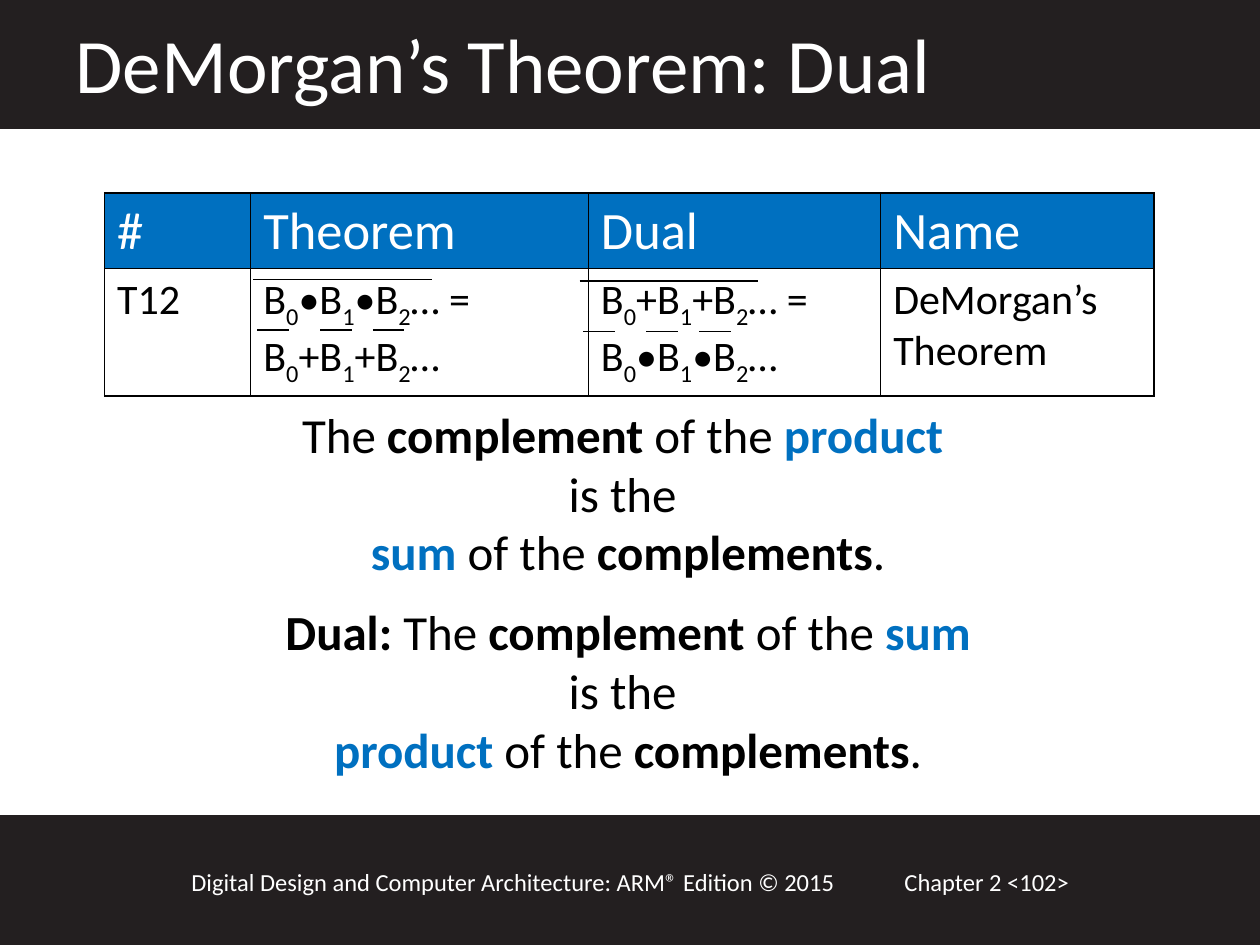
from itertools import groupby

from lxml.etree import SubElement
from pptx import Presentation
from pptx.dml.color import RGBColor
from pptx.enum.shapes import MSO_CONNECTOR as Connector, MSO_SHAPE as Shape
from pptx.enum.text import MSO_ANCHOR as Anchor, PP_ALIGN as Align
from pptx.oxml.ns import qn
from pptx.util import Inches, Pt

COLORS = {"band": "231F20", "accent": "0070C0", "white": "FFFFFF", "black": "000000"}
FONT = "Calibri"
PLAIN = {}
BOLD = {"bold": True}
ACCENT = {"bold": True, "color": "accent"}


def rgb(name):
    return RGBColor.from_string(COLORS[name])


def add_text(paragraph, text, size=28, color="black", bold=False, subscript=False):
    run = paragraph.add_run()
    run.text = text
    run.font.name = FONT
    run.font.size = Pt(size)
    run.font.bold = bold
    run.font.color.rgb = rgb(color)
    if subscript:
        run.font._element.set("baseline", "-25000")


def add_text_box(slide, left, top, width, height):
    frame = slide.shapes.add_textbox(
        Inches(left), Inches(top), Inches(width), Inches(height)).text_frame
    frame.word_wrap = True
    return frame


def add_band(slide, top, height):
    band = slide.shapes.add_shape(
        Shape.RECTANGLE, 0, Inches(top), Inches(10), Inches(height))
    band.shadow.inherit = False
    band.fill.solid()
    band.fill.fore_color.rgb = rgb("band")
    band.line.color.rgb = rgb("band")
    band.line.width = Pt(2)
    return band


def add_header(slide, top, height):
    band = add_band(slide, top, height)
    title = slide.shapes.title
    title.element.addprevious(band.element)
    title.left, title.top = Inches(0.5), Inches(top + 0.08)
    title.width, title.height = Inches(8.67), Inches(0.84)
    frame = title.text_frame
    frame.vertical_anchor = Anchor.TOP
    paragraph = frame.paragraphs[0]
    paragraph.alignment = Align.LEFT
    add_text(paragraph, "DeMorgan’s Theorem: Dual", size=44, color="white")


def add_footer(slide, top, height):
    add_band(slide, top, height)
    for left, width, text in (
        (1.42, 5.75, "Digital Design and Computer Architecture: ARM® Edition © 2015"),
        (7.08, 2.17, "Chapter 2 <102>"),
    ):
        frame = add_text_box(slide, left, top + 0.35, width, 0.34)
        add_text(frame.paragraphs[0], text, size=14, color="white")


def add_formula(paragraph, formula, size):
    for is_index, characters in groupby(formula, str.isdigit):
        add_text(paragraph, "".join(characters), size=size, subscript=is_index)


def set_borders(cell):
    properties = cell._tc.get_or_add_tcPr()
    for position, side in enumerate(("lnL", "lnR", "lnT", "lnB")):
        line = properties.makeelement(qn(f"a:{side}"), {"w": str(Pt(1))})
        properties.insert(position, line)
        fill = SubElement(line, qn("a:solidFill"))
        SubElement(fill, qn("a:srgbClr"), val=COLORS["black"])


def add_overbars(slide, left, top):
    bars = [(0, 0, 1.42)] + [(offset, 0.4, 0.25) for offset in (0.03, 0.53, 0.95)]
    for x, y, length in bars:
        bar = slide.shapes.add_connector(
            Connector.STRAIGHT, Inches(left + x), Inches(top + y),
            Inches(left + x + length), Inches(top + y))
        bar.line.color.rgb = rgb("black")
        bar.line.width = Pt(0.75)
        SubElement(bar.element.spPr, qn("a:effectLst"))


def add_theorem_table(slide, left, top):
    widths = (1.16, 2.68, 2.32, 2.17)
    heights = (0.59, 1.01)
    rows = (
        ("#", "Theorem", "Dual", "Name"),
        ("T12", "B0•B1•B2… = B0+B1+B2…", "B0+B1+B2… = B0•B1•B2…", "DeMorgan’s Theorem"),
    )
    table = slide.shapes.add_table(
        len(rows), len(widths), Inches(left), Inches(top),
        Inches(sum(widths)), Inches(sum(heights))).table
    for column, width in zip(table.columns, widths):
        column.width = Inches(width)
    for row, height in zip(table.rows, heights):
        row.height = Inches(height)
    for row_index, texts in enumerate(rows):
        is_header = row_index == 0
        for column_index, text in enumerate(texts):
            cell = table.cell(row_index, column_index)
            cell.fill.solid()
            cell.fill.fore_color.rgb = rgb("accent" if is_header else "white")
            set_borders(cell)
            paragraph = cell.text_frame.paragraphs[0]
            if is_header:
                add_text(paragraph, text, size=30, color="white")
            elif "=" in text:
                add_formula(paragraph, text, size=24)
            else:
                add_text(paragraph, text, size=24)
    add_overbars(slide, left + 1.18, top + 0.69)
    add_overbars(slide, left + 3.77, top + 0.7)


def add_statements(slide, left, top, width, height):
    def closing(word):
        return [(f"{word} ", ACCENT), ("of the ", PLAIN), ("complements", BOLD), (".", PLAIN)]

    middle = [("is the ", PLAIN)]
    lines = (
        [("The ", PLAIN), ("complement", BOLD), (" of the ", PLAIN), ("product ", ACCENT)],
        middle,
        closing("sum"),
        [("Dual: ", BOLD), ("The ", PLAIN), ("complement ", BOLD),
         ("of the ", PLAIN), ("sum", ACCENT)],
        middle,
        closing("product"),
    )
    frame = add_text_box(slide, left, top, width, height)
    for index, line in enumerate(lines):
        paragraph = frame.add_paragraph() if index else frame.paragraphs[0]
        paragraph.alignment = Align.CENTER
        if index == 3:
            paragraph.space_before = Pt(12)
        for text, style in line:
            add_text(paragraph, text, **style)


def main():
    presentation = Presentation()
    presentation.slide_width = Inches(10)
    presentation.slide_height = Inches(7.5)
    slide = presentation.slides.add_slide(presentation.slide_layouts[5])
    add_header(slide, 0, 1.01)
    add_footer(slide, 6.48, 1.02)
    add_statements(slide, 0.95, 3.16, 8.07, 3.1)
    add_theorem_table(slide, 0.83, 1.53)
    presentation.save("out.pptx")


if __name__ == "__main__":
    main()
